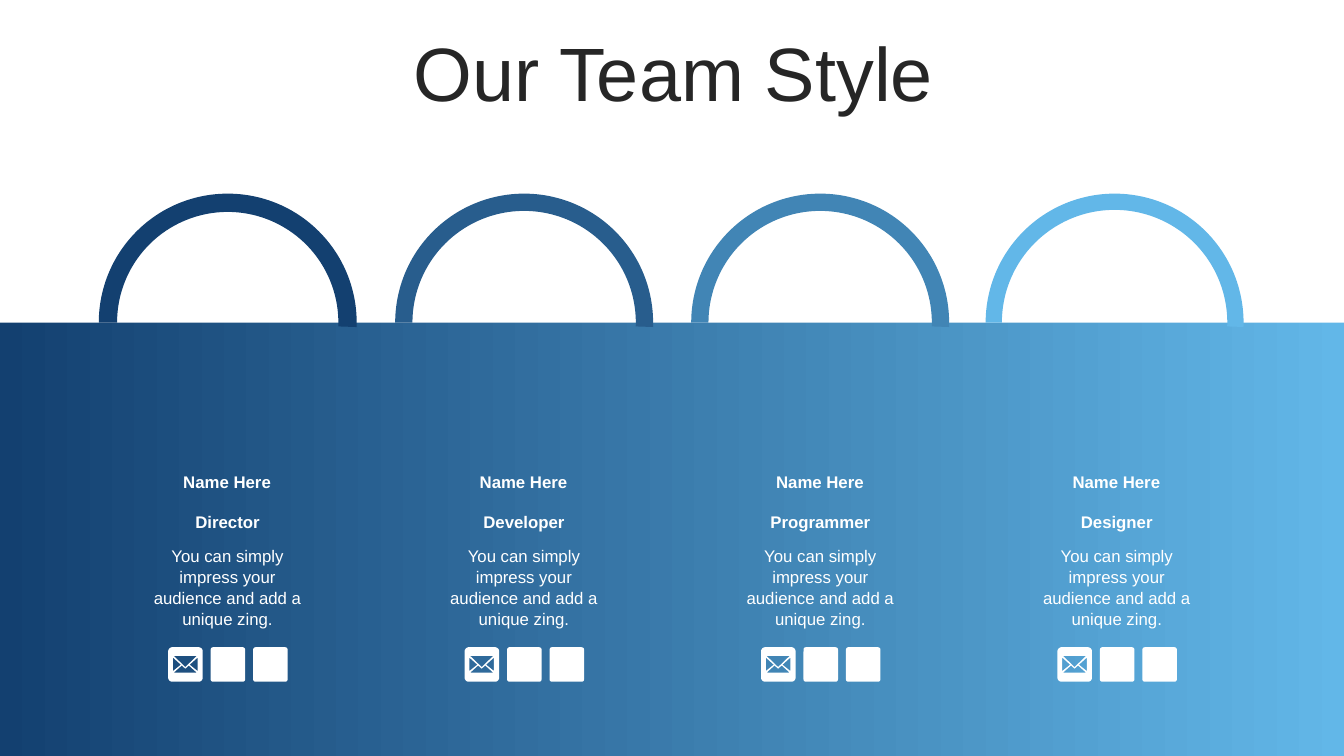
import math

import pptx
import pptx.dml.color
import pptx.enum.shapes
import pptx.enum.text
import pptx.util
from pptx.util import Cm

COLORS = {
    "white": "FFFFFF",
    "title": "262626",
    "navy": "134070",
    "blue": "285D8D",
    "steel": "4185B5",
    "sky": "62B7E8",
}
SHAPES = pptx.enum.shapes.MSO_SHAPE
MIDDLE = pptx.enum.text.MSO_ANCHOR.MIDDLE
TOP = pptx.enum.text.MSO_ANCHOR.TOP

# role, arc colour, arc left in cm, arc end angle, arc thickness
MEMBERS = [
    ("Director", "navy", 2.49, 1.188, 0.071),
    ("Developer", "blue", 9.96, 1.178, 0.067),
    ("Programmer", "steel", 17.42, 1.178, 0.067),
    ("Designer", "sky", 24.84, 1.168, 0.063),
]
BLURB = "You can simply impress your audience and add a unique zing."
COLUMN_PITCH = 7.47
ICON_LEFT, ICON_TOP, ICON_SIZE, ICON_PITCH = 4.24, 16.31, 0.87, 1.07

# Envelope parts, in hundredths of a cm from the icon's corner
ENVELOPE = [
    [(14, 22), (72, 22), (43, 50)],
    [(12, 26), (12, 60), (32, 44)],
    [(74, 26), (74, 60), (54, 44)],
    [(14, 64), (72, 64), (52, 46), (43, 54), (34, 46)],
]


def color(name):
    return pptx.dml.color.RGBColor.from_string(COLORS[name])


def apply_format(target, values):
    for name, value in values.items():
        setattr(target, name, value)


def paint(shape, fill):
    shape.shadow.inherit = False
    shape.fill.solid()
    shape.fill.fore_color.rgb = color(fill)
    shape.line.fill.background()


def add_plain_shape(page, kind, left, top, width, height, fill, adjustments=()):
    shape = page.shapes.add_shape(kind, Cm(left), Cm(top), Cm(width), Cm(height))
    for index, value in enumerate(adjustments):
        shape.adjustments[index] = value
    paint(shape, fill)


def write_text(box, text, size, fill, anchor=MIDDLE, bold=False, **spacing):
    apply_format(box.text_frame, {
        "word_wrap": True,
        "auto_size": pptx.enum.text.MSO_AUTO_SIZE.NONE,
        "vertical_anchor": anchor,
    })
    para = box.text_frame.paragraphs[0]
    apply_format(para, {"alignment": pptx.enum.text.PP_ALIGN.CENTER, **spacing})
    span = para.add_run()
    span.text = text
    apply_format(span.font, {"name": "Arial", "size": pptx.util.Pt(size), "bold": bold})
    span.font.color.rgb = color(fill)


def add_label(page, text, left, top, width, height, **options):
    box = page.shapes.add_textbox(Cm(left), Cm(top), Cm(width), Cm(height))
    write_text(box, text, 12, "white", **options)


def rounded_square(size, radius, steps=4):
    """Return the outline points of a square with rounded corners."""
    points = []
    far = size - radius
    corners = [(far, far), (radius, far), (radius, radius), (far, radius)]
    for quarter, (x, y) in enumerate(corners):
        for step in range(steps + 1):
            angle = math.pi / 2 * (quarter + step / steps)
            points.append((x + radius * math.cos(angle), y + radius * math.sin(angle)))
    return points


def add_mail_icon(page, left, top):
    """Draw a rounded square with the envelope cut out of it."""
    outline = rounded_square(ICON_SIZE * 100, 9)
    builder = page.shapes.build_freeform(*outline[0], scale=Cm(1) / 100)
    builder.add_line_segments(outline[1:])
    for part in ENVELOPE:
        builder.move_to(*part[0])
        builder.add_line_segments(part[1:])
    paint(builder.convert_to_shape(Cm(left), Cm(top)), "white")


def add_member(page, column, role):
    shift = column * COLUMN_PITCH
    heading = {"bold": True, "space_before": pptx.util.Pt(2.4)}
    add_label(page, "Name Here", 3.58 + shift, 11.79, 4.29, 0.69, **heading)
    add_label(page, role, 3.4 + shift, 12.7, 4.67, 0.89, **heading)
    add_label(page, BLURB, 3.4 + shift, 13.59, 4.67, 2.31, anchor=TOP, line_spacing=1.05)
    add_mail_icon(page, ICON_LEFT + shift, ICON_TOP)
    for place in (1, 2):
        add_plain_shape(page, SHAPES.ROUNDED_RECTANGLE,
                        ICON_LEFT + shift + place * ICON_PITCH, ICON_TOP,
                        ICON_SIZE, ICON_SIZE, "white", [0.07])


def set_background(page):
    fill = page.background.fill
    fill.gradient()
    fill.gradient_angle = 180
    for stop, (position, name) in zip(fill.gradient_stops, [(0, "sky"), (1, "navy")]):
        stop.position = position
        stop.color.rgb = color(name)


def place_title(page, text):
    """Format the title and bring it in front of the white band."""
    title = page.shapes.title
    apply_format(title, {"left": Cm(0.89), "top": Cm(0.94),
                         "width": Cm(32.16), "height": Cm(2.01)})
    write_text(title, text, 54, "title", line_spacing=0.9, space_before=pptx.util.Pt(10))
    title.element.getparent().append(title.element)


def main():
    deck = pptx.Presentation()
    apply_format(deck, {"slide_width": Cm(33.87), "slide_height": Cm(19.05)})
    page = deck.slides.add_slide(deck.slide_layouts[5])
    set_background(page)
    add_plain_shape(page, SHAPES.RECTANGLE, 0, 0, 33.87, 8.13, "white")
    place_title(page, "Our Team Style")
    for column, (role, fill, left, end, thickness) in enumerate(MEMBERS):
        add_plain_shape(page, SHAPES.BLOCK_ARC, left, 4.88, 6.5, 6.5, fill,
                        [108, end, thickness])
        add_member(page, column, role)
    deck.save("out.pptx")


if __name__ == "__main__":
    main()
